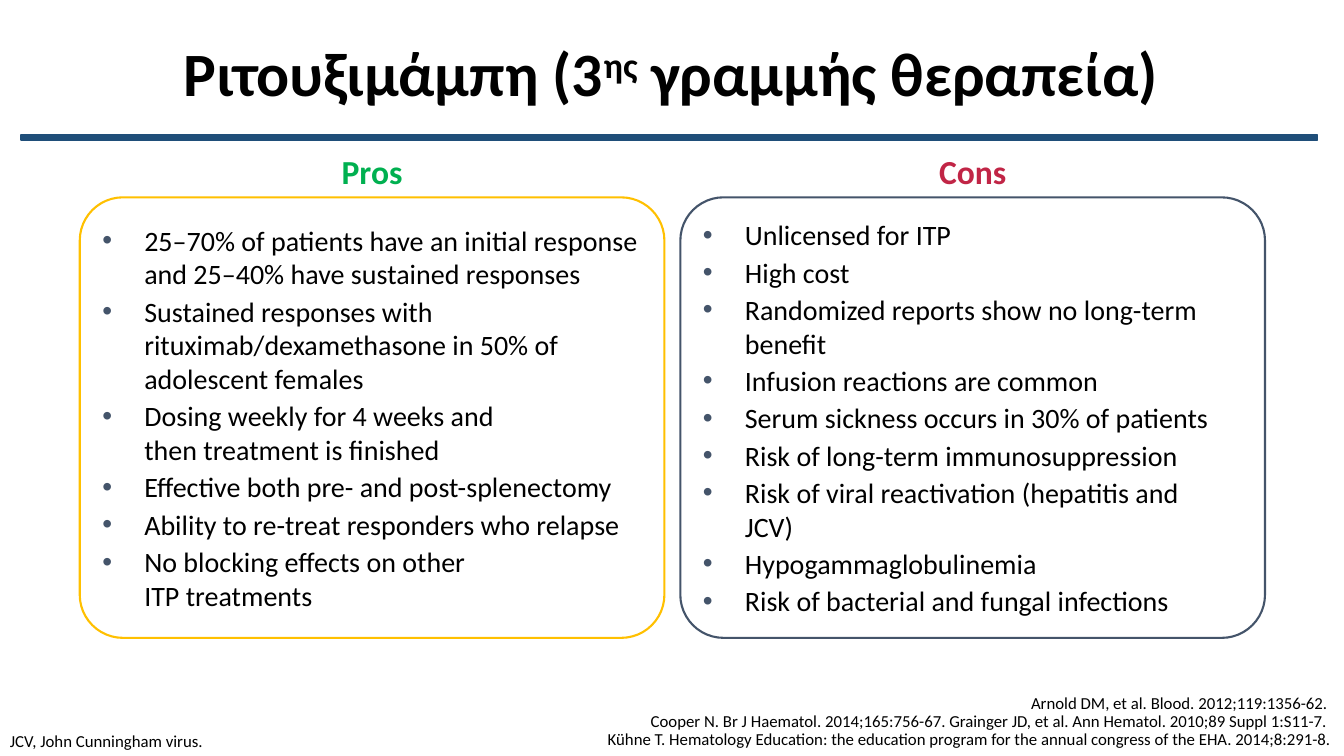
"""Build a slide weighing the pros and cons of rituximab as third-line therapy."""
from dataclasses import dataclass

from lxml import etree
from pptx import Presentation
from pptx.dml.color import RGBColor
from pptx.enum.shapes import MSO_SHAPE
from pptx.enum.text import MSO_ANCHOR, PP_ALIGN
from pptx.oxml.ns import qn
from pptx.util import Pt

ROUND, RECT = MSO_SHAPE.ROUNDED_RECTANGLE, MSO_SHAPE.RECTANGLE
TOP, MIDDLE, BOTTOM = MSO_ANCHOR.TOP, MSO_ANCHOR.MIDDLE, MSO_ANCHOR.BOTTOM
LEFT, CENTER, RIGHT = PP_ALIGN.LEFT, PP_ALIGN.CENTER, PP_ALIGN.RIGHT
FONT = "Calibri"
HEX = {"text": "000000", "rule": "1F4E79", "slate": "44546A",
       "gold": "FFC000", "green": "00B050", "red": "C12546"}
WIDE, HIGH, HEAD = 417.6, 314.64, 128


@dataclass
class Label:
    text: str
    left: float
    top: float
    width: float
    height: float
    size: float
    align: PP_ALIGN = LEFT
    anchor: MSO_ANCHOR = TOP
    color: str = "text"
    bold: bool = False
    space: float = 0.9
    pad: tuple[float, float] = (7.2, 3.6)


@dataclass
class Panel:
    head: str
    tint: str
    edge: str
    left: float
    items: list[str]


PANELS = [
    Panel("Pros", "green", "gold", 57, [
        "25–70% of patients have an initial response and 25–40% have sustained responses",
        "Sustained responses with rituximab/dexamethasone in 50% of adolescent females",
        "Dosing weekly for 4 weeks and \nthen treatment is finished",
        "Effective both pre- and post-splenectomy",
        "Ability to re-treat responders who relapse",
        "No blocking effects on other \nITP treatments",
    ]),
    Panel("Cons", "red", "slate", 486, [
        "Unlicensed for ITP",
        "High cost",
        "Randomized reports show no long-term benefit",
        "Infusion reactions are common",
        "Serum sickness occurs in 30% of patients",
        "Risk of long-term immunosuppression",
        "Risk of viral reactivation (hepatitis and \nJCV)",
        "Hypogammaglobulinemia",
        "Risk of bacterial and fungal infections",
    ]),
]
TITLE = Label("", 45, 0, 869, 110, 44, CENTER, MIDDLE, bold=True)
NOTES = [
    Label("JCV, John Cunningham virus.", 0, 520, 396, 20, 12, anchor=BOTTOM),
    Label("Arnold DM, et al. Blood. 2012;119:1356-62. \n"
          "Cooper N. Br J Haematol. 2014;165:756-67. Grainger JD, et al. "
          "Ann Hematol. 2010;89 Suppl 1:S11-7. \n"
          "Kühne T. Hematology Education: the education program for the annual "
          "congress of the EHA. 2014;8:291-8.",
          396, 491, 564.5, 49, 12, RIGHT, BOTTOM, pad=(9.4, 5)),
]


def paint(name: str) -> RGBColor:
    return RGBColor.from_string(HEX[name])


def style(para, size: float, color: str = "text", bold: bool = False) -> None:
    font = para.font
    font.name, font.size, font.bold = FONT, Pt(size), bold
    font.color.rgb = paint(color)


def write(slide, label: Label):
    box = slide.shapes.add_textbox(
        Pt(label.left), Pt(label.top), Pt(label.width), Pt(label.height))
    frame = box.text_frame
    frame.word_wrap = True
    frame.vertical_anchor = label.anchor
    frame.margin_left = frame.margin_right = Pt(label.pad[0])
    frame.margin_top = frame.margin_bottom = Pt(label.pad[1])
    para = frame.paragraphs[0]
    para.text = label.text.replace("\n", "\v")
    para.alignment, para.line_spacing = label.align, label.space
    style(para, label.size, label.color, label.bold)
    return para


def bullet(para) -> None:
    props = para._p.get_or_add_pPr()
    props.set("marL", str(Pt(30)))
    props.set("indent", str(-Pt(30)))
    tint = etree.SubElement(props, qn("a:buClr"))
    etree.SubElement(tint, qn("a:srgbClr"), val=HEX["slate"])
    etree.SubElement(props, qn("a:buFont"), typeface="Arial")
    etree.SubElement(props, qn("a:buChar"), char="•")


def draw(slide, panel: Panel) -> None:
    box = slide.shapes.add_shape(
        ROUND, Pt(panel.left), Pt(141), Pt(WIDE), Pt(HIGH))
    box.shadow.inherit = False
    box.adjustments[0] = 0.098
    box.fill.background()
    box.line.color.rgb = paint(panel.edge)
    box.line.width = Pt(1.5)
    frame = box.text_frame
    frame.word_wrap = True
    frame.vertical_anchor = MIDDLE
    for i, item in enumerate(panel.items):
        para = frame.add_paragraph() if i else frame.paragraphs[0]
        para.text = item.replace("\n", "\v")
        para.alignment, para.space_after = LEFT, Pt(2.7)
        bullet(para)
        style(para, 20)
    write(slide, Label(panel.head, panel.left + (WIDE - HEAD) / 2, 104.4, HEAD, 36,
                       24, CENTER, color=panel.tint, bold=True, space=1.0))


def main() -> None:
    deck = Presentation()
    deck.slide_width, deck.slide_height = Pt(960), Pt(540)
    slide = deck.slides.add_slide(deck.slide_layouts[6])
    title = write(slide, TITLE)
    for text, base in [("Ριτουξιμάμπη (3", 0), ("ης", 30000),
                       (" γραμμής θεραπεία)", 0)]:
        run = title.add_run()
        run.text = text
        if base:
            run._r.get_or_add_rPr().set("baseline", str(base))
    for panel in PANELS:
        draw(slide, panel)
    for note in NOTES:
        write(slide, note)
    rule = slide.shapes.add_shape(RECT, Pt(15), Pt(96.5), Pt(926), Pt(3.6))
    rule.shadow.inherit = False
    rule.fill.solid()
    rule.fill.fore_color.rgb = rule.line.color.rgb = paint("rule")
    rule.line.width = Pt(1)
    deck.save("out.pptx")


if __name__ == "__main__":
    main()
